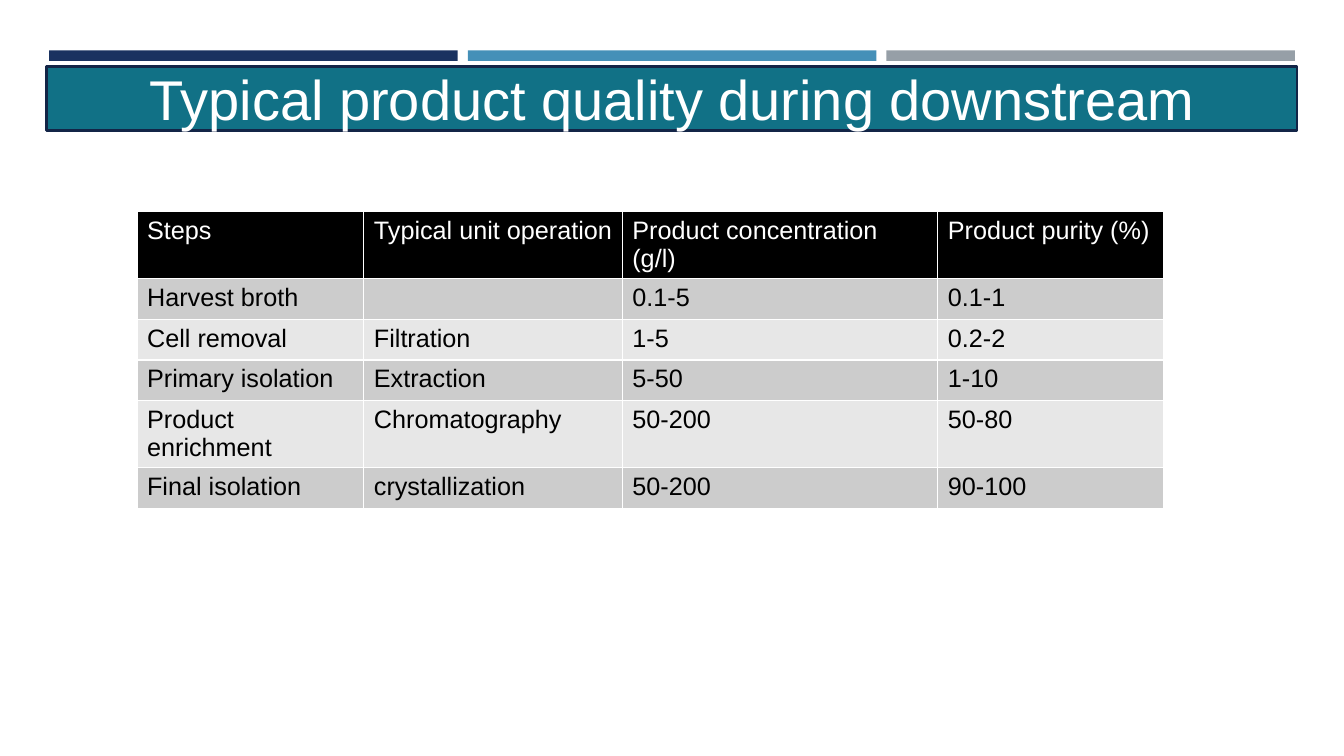
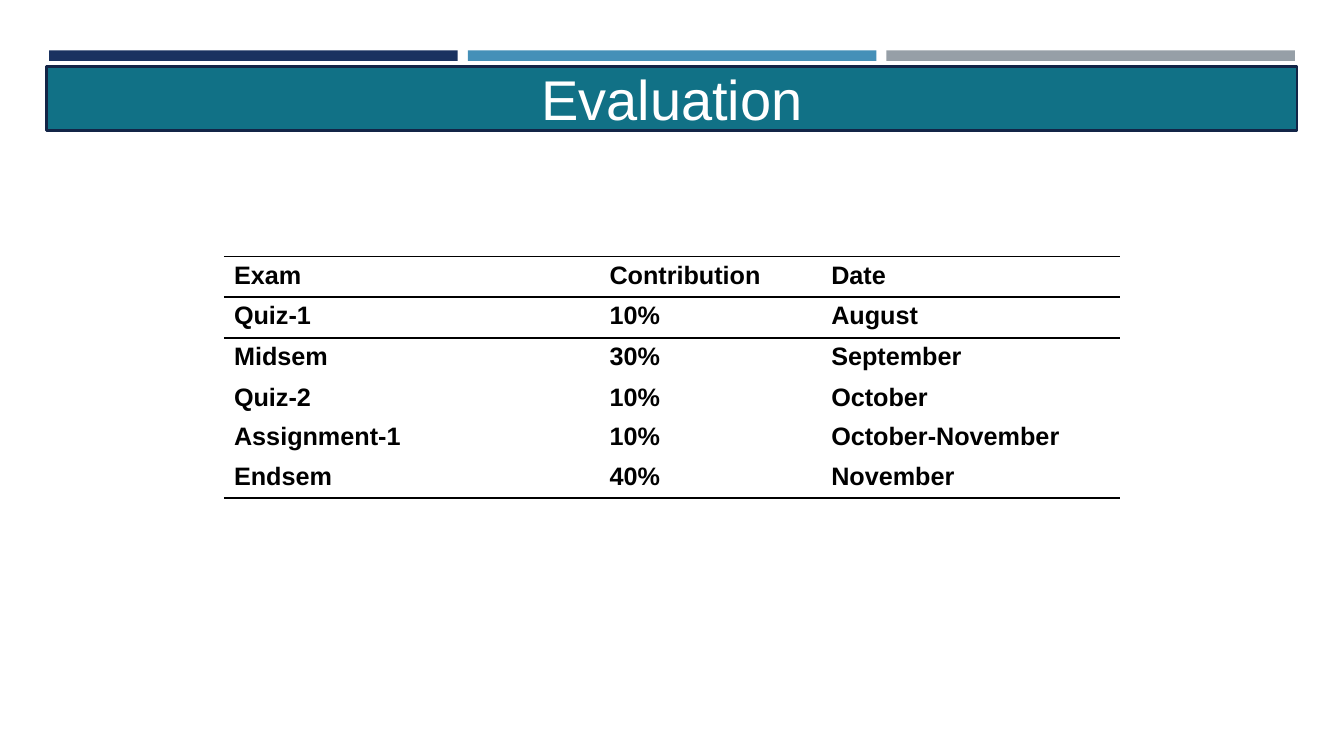
"""Build two course slides, each with a title band and a table."""
from dataclasses import dataclass
from typing import Any

from lxml import etree
from pptx import Presentation
from pptx.dml.color import RGBColor
from pptx.enum import shapes, text
from pptx.oxml import ns
from pptx.util import Pt

NAVY = RGBColor(0x1A, 0x32, 0x60)
BLUE = RGBColor(0x45, 0x90, 0xB8)
GREY = RGBColor(0x96, 0x9F, 0xA7)
TEAL = RGBColor(0x11, 0x71, 0x86)
OUTLINE = RGBColor(0x13, 0x25, 0x47)
BLACK = RGBColor(0x00, 0x00, 0x00)
WHITE = RGBColor(0xFF, 0xFF, 0xFF)
DARK_BAND = RGBColor(0xCC, 0xCC, 0xCC)
LIGHT_BAND = RGBColor(0xE7, 0xE7, 0xE7)

BAR_COLOURS = (NAVY, BLUE, GREY)
BAR_LEFT, BAR_TOP, BAR_WIDTH, BAR_HEIGHT, BAR_GAP = 35.2, 36, 291.8, 7.5, 7.2
SIDES = ("L", "R", "T", "B")
TITLE_FORMAT = {"name": "Arial", "size": Pt(40)}
CELL_FORMAT = {"name": "Arial", "size": Pt(18)}


@dataclass(frozen=True)
class TableContent:
    left: float
    top: float
    widths: tuple[float, ...]
    heights: tuple[float, ...]
    rows: tuple[tuple[str, ...], ...]
    banded: bool
    ruled_rows: tuple[int, ...] = ()


@dataclass(frozen=True)
class SlideContent:
    title: str
    table: TableContent


QUALITY = SlideContent(
    "Typical product quality during downstream",
    TableContent(
        left=97.9, top=151.2, widths=(162, 184.6, 225.4, 161.2), heights=(29.2,) * 6,
        rows=(
            ("Steps", "Typical unit operation", "Product concentration (g/l)", "Product purity (%)"),
            ("Harvest broth", "", "0.1-5", "0.1-1"),
            ("Cell removal", "Filtration", "1-5", "0.2-2"),
            ("Primary isolation", "Extraction", "5-50", "1-10"),
            ("Product enrichment", "Chromatography", "50-200", "50-80"),
            ("Final isolation", "crystallization", "50-200", "90-100"),
        ),
        banded=True,
    ),
)
EVALUATION = SlideContent(
    "Evaluation",
    TableContent(
        left=160, top=183, widths=(268.2, 158.4, 213.3), heights=(29.2, 29.2, 29.2, 28, 28, 29.2),
        rows=(
            ("Exam", "Contribution", "Date"),
            ("Quiz-1", "10%", "August"),
            ("Midsem", "30%", "September"),
            ("Quiz-2", "10%", "October"),
            ("Assignment-1", "10%", "October-November"),
            ("Endsem", "40%", "November"),
        ),
        banded=False, ruled_rows=(0, 1, 5),
    ),
)


def apply_format(target: Any, values: dict[str, Any]) -> None:
    for name, value in values.items():
        setattr(target, name, value)


def add_box(page: Any, left: float, top: float, width: float, height: float, colour: RGBColor) -> Any:
    box = page.shapes.add_shape(
        shapes.MSO_SHAPE.RECTANGLE, Pt(left), Pt(top), Pt(width), Pt(height))
    box.shadow.inherit = False
    box.fill.solid()
    box.fill.fore_color.rgb = colour
    box.line.fill.background()
    return box


def add_header(page: Any, title: str) -> None:
    for index, colour in enumerate(BAR_COLOURS):
        left = BAR_LEFT + index * (BAR_WIDTH + BAR_GAP)
        add_box(page, left, BAR_TOP, BAR_WIDTH, BAR_HEIGHT, colour)
    band = add_box(page, 33.2, 47.4, 893.4, 46, TEAL)
    band.line.color.rgb = OUTLINE
    band.line.width = Pt(1.75)
    apply_format(band.text_frame, {"word_wrap": True, "vertical_anchor": text.MSO_ANCHOR.MIDDLE})
    para = band.text_frame.paragraphs[0]
    para.alignment = text.PP_ALIGN.CENTER
    span = para.add_run()
    span.text = title
    apply_format(span.font, TITLE_FORMAT)
    span.font.color.rgb = WHITE


def set_borders(cell: Any, colours: dict[str, RGBColor]) -> None:
    properties = cell._tc.get_or_add_tcPr()
    for index, side in enumerate(SIDES):
        border = etree.Element(ns.qn(f"a:ln{side}"), w=str(Pt(1)))
        if side in colours:
            fill = etree.SubElement(border, ns.qn("a:solidFill"))
            etree.SubElement(fill, ns.qn("a:srgbClr"), val=str(colours[side]))
        else:
            etree.SubElement(border, ns.qn("a:noFill"))
        properties.insert(index, border)


def style_cell(cell: Any, row: int, content: TableContent) -> None:
    if content.banded:
        cell.fill.solid()
        cell.fill.fore_color.rgb = BLACK if row == 0 else DARK_BAND if row % 2 else LIGHT_BAND
        set_borders(cell, dict.fromkeys(SIDES, WHITE))
    else:
        cell.fill.background()
        ruled = {"T": row == 0 or row - 1 in content.ruled_rows, "B": row in content.ruled_rows}
        set_borders(cell, {side: BLACK for side, shown in ruled.items() if shown})


def add_table(page: Any, content: TableContent) -> None:
    frame = page.shapes.add_table(
        len(content.rows), len(content.widths), Pt(content.left), Pt(content.top),
        Pt(sum(content.widths)), Pt(sum(content.heights)))
    table = frame.table
    apply_format(table, {"first_row": False, "horz_banding": False})
    for column, width in zip(table.columns, content.widths):
        column.width = Pt(width)
    for row, (words, height) in enumerate(zip(content.rows, content.heights)):
        table.rows[row].height = Pt(height)
        for column, word in enumerate(words):
            cell = table.cell(row, column)
            style_cell(cell, row, content)
            if word:
                span = cell.text_frame.paragraphs[0].add_run()
                span.text = word
                apply_format(span.font, CELL_FORMAT | {"bold": not content.banded})
                span.font.color.rgb = WHITE if content.banded and row == 0 else BLACK


def main() -> None:
    deck = Presentation()
    apply_format(deck, {"slide_width": Pt(960), "slide_height": Pt(540)})
    for content in (QUALITY, EVALUATION):
        page = deck.slides.add_slide(deck.slide_layouts[6])
        add_header(page, content.title)
        add_table(page, content.table)
    deck.save("out.pptx")


if __name__ == "__main__":
    main()
